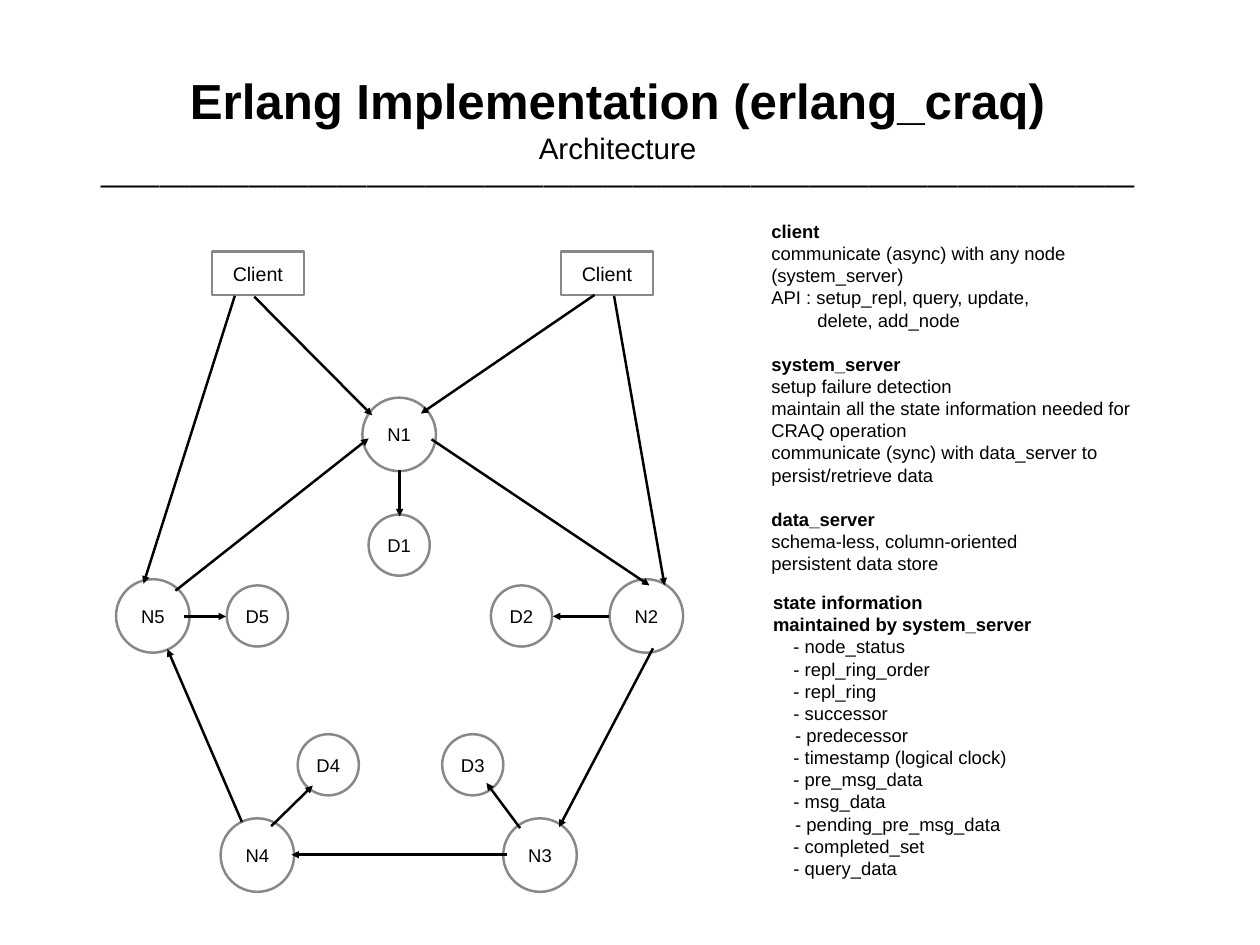
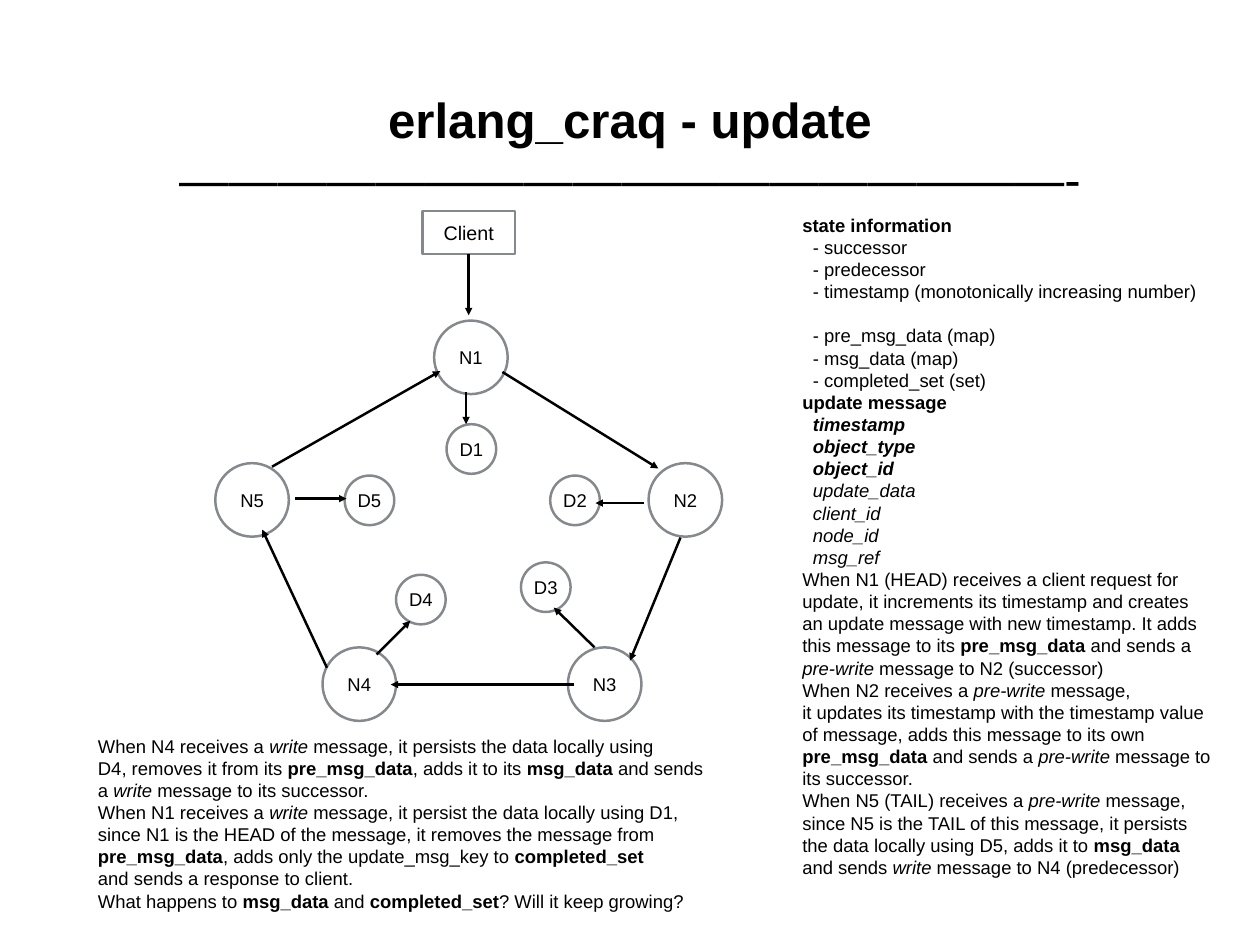
from dataclasses import dataclass

from lxml import etree
from pptx import Presentation
from pptx.dml.color import RGBColor
from pptx.enum import shapes, text
from pptx.oxml import ns
from pptx.util import Inches, Pt


@dataclass(frozen=True)
class Theme:
    ink: RGBColor = RGBColor(0x00, 0x00, 0x00)
    edge: RGBColor = RGBColor(0x85, 0x88, 0x8D)
    face: str = "Arial"
    title: int = 40
    sub: int = 24
    client: int = 16
    body: int = 15
    pitch: float = 1.2
    stroke: int = 2
    inset: float = 0.055
    node: float = 0.83


THEME = Theme()
KIND = shapes.MSO_SHAPE
LEFT, CENTER = text.PP_ALIGN.LEFT, text.PP_ALIGN.CENTER
TOP, MIDDLE = text.MSO_ANCHOR.TOP, text.MSO_ANCHOR.MIDDLE


def assign(obj, **values):
    for name, value in values.items():
        setattr(obj, name, value)


def frame(shape, inset, wrap, anchor):
    side = Inches(inset)
    assign(shape.text_frame, margin_left=side, margin_right=side,
           margin_top=side, margin_bottom=side,
           word_wrap=wrap, vertical_anchor=anchor)
    return shape.text_frame


def write(para, words, size, align=LEFT, bold=False):
    """Write words, where *...* is bold and ~...~ is italic."""
    assign(para, alignment=align, line_spacing=Pt(size * THEME.pitch))
    for i, part in enumerate(words.split("*")):
        for j, piece in enumerate(part.split("~")):
            if piece:
                run = para.add_run()
                run.text = piece
                assign(run.font, name=THEME.face, size=Pt(size),
                       bold=bold or i % 2 == 1, italic=j % 2 == 1)
                run.font.color.rgb = THEME.ink


def lines(tf):
    """Yield the first paragraph, then new ones."""
    yield tf.paragraphs[0]
    while True:
        yield tf.add_paragraph()


def header(slide, box, rows):
    area = slide.shapes.add_textbox(*map(Inches, box))
    paras = lines(frame(area, THEME.inset, True, MIDDLE))
    for words, size, bold in rows:
        write(next(paras), words, size, CENTER, bold)


def notes(slide, box, groups):
    """Place groups of (indent, gap before, paragraphs) in a text box."""
    area = slide.shapes.add_textbox(*map(Inches, box))
    paras = lines(frame(area, THEME.inset, True, TOP))
    for indent, gap, rows in groups:
        for i, words in enumerate(rows):
            para = next(paras)
            para._p.get_or_add_pPr().set("marL", str(Inches(indent)))
            write(para, words, THEME.body)
            if gap and i == 0:
                para.space_before = Pt(gap)


def outline(slide, kind, box, label, size):
    shape = slide.shapes.add_shape(kind, *map(Inches, box))
    shape.shadow.inherit = False
    shape.fill.background()
    shape.line.color.rgb = THEME.edge
    shape.line.width = Pt(THEME.stroke)
    write(frame(shape, 0, False, MIDDLE).paragraphs[0], label, size, CENTER)
    return shape


def arrow(slide, x, y, ends):
    x1, y1, x2, y2 = ends
    link = slide.shapes.add_connector(
        shapes.MSO_CONNECTOR.STRAIGHT,
        *map(Inches, (x + x1, y + y1, x + x2, y + y2)))
    link.line.color.rgb = THEME.ink
    link.line.width = Pt(THEME.stroke)
    line = link.line._get_or_add_ln()
    etree.SubElement(line, ns.qn("a:tailEnd"), type="triangle")
    etree.SubElement(link._element.spPr, ns.qn("a:effectLst"))
    return link


def ring(slide, origin, clients, nodes, stores, disk, arrows):
    """Draw clients, nodes N1.. and stores D1.. relative to the origin."""
    x, y = origin
    boxes = [outline(slide, KIND.RECTANGLE, (x + dx, y + dy, 1.04, 0.49),
                     "Client", THEME.client) for dx, dy in clients]
    for mark, side, spots in (("N", THEME.node, nodes), ("D", disk, stores)):
        for i, (dx, dy) in enumerate(spots, 1):
            outline(slide, KIND.OVAL, (x + dx, y + dy, side, side),
                    f"{mark}{i}", THEME.body)
    for ends in arrows:
        arrow(slide, x, y, ends)
    return boxes


def design(slide):
    header(slide, (0.9, 0.35, 12.14, 2.36), [
        ("Erlang Implementation (erlang_craq)", THEME.title, True),
        ("Architecture", THEME.sub, False),
        ("—" * 35, THEME.sub, False)])
    ring(slide, (1, 2),
         clients=[(1.39, 0.84), (5.33, 0.84)],
         nodes=[(3.09, 2.49), (5.88, 4.54), (4.68, 7.24),
                (1.49, 7.24), (0.31, 4.54)],
         stores=[(3.16, 3.81), (4.54, 4.61), (3.99, 6.29),
                 (2.36, 6.29), (1.56, 4.61)],
         disk=0.69,
         arrows=[(0.98, 4.67, 3.16, 2.95), (6.37, 5.32, 5.31, 7.34),
                 (4.72, 7.65, 2.29, 7.65), (1.73, 7.28, 0.89, 5.33),
                 (3.87, 2.96, 6.33, 4.61), (5.87, 4.96, 5.24, 4.96),
                 (3.51, 3.31, 3.51, 3.83), (2.06, 7.33, 2.53, 6.87),
                 (4.87, 7.35, 4.49, 6.84), (1.08, 4.96, 1.55, 4.96),
                 (5.93, 1.34, 6.5, 4.61), (5.71, 1.33, 3.75, 2.67),
                 (1.87, 1.35, 3.2, 2.69), (1.65, 1.34, 0.62, 4.59)])
    gap = THEME.body * THEME.pitch
    notes(slide, (8.65, 2.43, 4.32, 4.11), [
        (0, 0, ["*client*",
                "communicate (async) with any node",
                "(system_server)",
                "API : setup_repl, query, update,"]),
        (0.52, 0, ["delete, add_node"]),
        (0, gap, ["*system_server*",
                  "setup failure detection",
                  "maintain all the state information needed for",
                  "CRAQ operation",
                  "communicate (sync) with data_server to",
                  "persist/retrieve data"]),
        (0, gap, ["*data_server*",
                  "schema-less, column-oriented",
                  "persistent data store"])])
    notes(slide, (8.67, 6.62, 3.1, 3.36), [
        (0, 0, ["*state information*", "*maintained by system_server*"]),
        (0.23, 0, ["- node_status", "- repl_ring_order", "- repl_ring",
                   "- successor"]),
        (0.25, 0, ["- predecessor"]),
        (0.23, 0, ["- timestamp (logical clock)", "- pre_msg_data",
                   "- msg_data"]),
        (0.25, 0, ["- pending_pre_msg_data"]),
        (0.23, 0, ["- completed_set", "- query_data"])])


def update(slide):
    header(slide, (1.04, 0.49, 12.14, 2.36), [
        ("erlang_craq - update", THEME.title, True),
        ("—" * 18 + "-", THEME.title, False)])
    boxes = ring(slide, (2, 2),
                 clients=[(2.77, 0.38)],
                 nodes=[(2.9, 1.62), (5.32, 3.23), (4.41, 5.31),
                        (1.64, 5.31), (0.43, 3.23)],
                 stores=[(3.04, 2.79), (4.21, 3.37), (3.88, 4.35),
                         (2.47, 4.49), (1.89, 3.37)],
                 disk=0.56,
                 arrows=[(4.71, 5.31, 4.25, 4.86), (5.27, 3.68, 4.72, 3.68),
                         (3.26, 2.43, 3.26, 2.79), (1.33, 3.63, 1.91, 3.63),
                         (2.25, 5.39, 2.63, 5.01), (1.69, 5.54, 0.96, 3.98),
                         (4.48, 5.73, 2.41, 5.73), (5.68, 4.07, 5.11, 5.46),
                         (3.67, 2.2, 5.43, 3.29), (1.07, 3.27, 2.97, 2.19)])
    arrow(slide, 2, 2, (3.29, 0.87, 3.29, 1.56)).begin_connect(boxes[0], 2)
    gap = THEME.body * THEME.pitch
    notes(slide, (9, 2.36, 4.74, 7.86), [
        (0, 0, ["*state information*"]),
        (0.12, 0, ["- successor", "- predecessor",
                   "- timestamp (monotonically increasing number)"]),
        (0.12, gap, ["- pre_msg_data (map)", "- msg_data (map)",
                     "- completed_set (set)"]),
        (0, 0, ["*update message*"]),
        (0.12, 0, ["*~timestamp~*", "*~object_type~*", "*~object_id~*",
                   "~update_data~", "~client_id~", "~node_id~", "~msg_ref~"]),
        (0, 0, [
            "When N1 (HEAD) receives a client request for update, it "
            "increments its timestamp and creates an update message with new "
            "timestamp. It adds this message to its *pre_msg_data* and sends "
            "a ~pre-write~ message to N2 (successor)",
            "When N2 receives a ~pre-write~ message,",
            "it updates its timestamp with the timestamp value of message, "
            "adds this message to its own *pre_msg_data* and sends a "
            "~pre-write~ message to its successor.",
            "When N5 (TAIL) receives a ~pre-write~ message, since N5 is the "
            "TAIL of this message, it persists the data locally using D5, "
            "adds it to *msg_data* and sends ~write~ message to N4 "
            "(predecessor)"])])
    notes(slide, (1.05, 8.24, 7.11, 2.11), [(0, 0, [
        "When N4 receives a ~write ~message, it persists the data locally "
        "using",
        "D4, removes it from its *pre_msg_data*, adds it to its *msg_data* "
        "and sends",
        "a ~write ~message to its successor.",
        "When N1 receives a ~write ~message, it persist the data locally "
        "using D1,",
        "since N1 is the HEAD of the message, it removes the message from",
        "*pre_msg_data*, adds only the update_msg_key to *completed_set*",
        "and sends a response to client.",
        "What happens to *msg_data* and *completed_set*? Will it keep "
        "growing?"])])


def main():
    deck = Presentation()
    assign(deck, slide_width=Inches(14.22), slide_height=Inches(10.67))
    for build in (design, update):
        build(deck.slides.add_slide(deck.slide_layouts[6]))
    deck.save("out.pptx")


if __name__ == "__main__":
    main()
